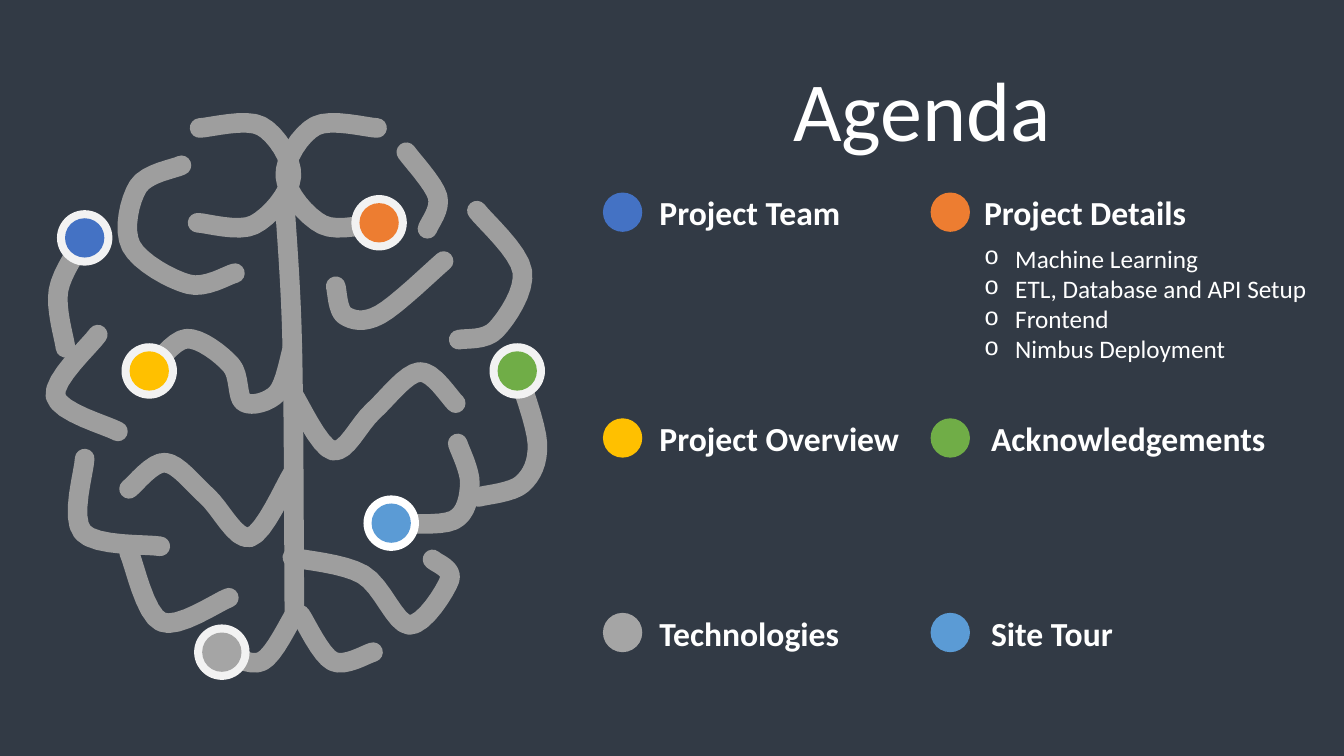
from dataclasses import dataclass
from lxml import etree
from pptx import Presentation
from pptx.dml.color import RGBColor
from pptx.enum.shapes import MSO_SHAPE
from pptx.enum.text import MSO_ANCHOR, MSO_AUTO_SIZE, PP_ALIGN
from pptx.oxml.ns import qn
from pptx.util import Inches, Pt

OVAL = MSO_SHAPE.OVAL
TOP, MIDDLE, BOTTOM = MSO_ANCHOR.TOP, MSO_ANCHOR.MIDDLE, MSO_ANCHOR.BOTTOM
FIXED, GROW = MSO_AUTO_SIZE.NONE, MSO_AUTO_SIZE.SHAPE_TO_FIT_TEXT
CENTER = PP_ALIGN.CENTER


@dataclass(frozen=True)
class Theme:
    font: str = "Calibri"
    back: str = "323A45"
    text: str = "FFFFFF"
    brain: str = "9E9E9E"
    ring: str = "F2F2F2"
    title: int = 60
    head: int = 24
    body: int = 18
    stroke: int = 14


THEME = Theme()

# Content, row by row: label, colour, ring colour, fold that starts at the marker
TITLE = "Agenda"
TOPICS = [
    ("Project Team", "4472C4", THEME.ring,
     [(0.84, 2.36), (0.58, 2.88), (0.65, 3.45)]),
    ("Project Details", "ED7D31", THEME.ring,
     [(3.76, 2.21), (3.2, 2.23), (2.83, 1.75), (3.13, 1.25), (3.74, 1.27)]),
    ("Project Overview", "FFC000", THEME.ring,
     [(1.48, 3.68), (1.85, 3.36), (2.29, 3.62), (2.42, 3.99), (2.75, 3.9),
      (2.9, 3.46)]),
    ("Acknowledgements", "70AD47", THEME.ring,
     [(5.13, 3.68), (5.33, 4.4), (5.18, 4.8), (4.75, 4.93)]),
    ("Technologies", "A5A5A5", THEME.ring,
     [(2.2, 6.47), (2.6, 6.56), (2.92, 6.1)]),
    ("Site Tour", "5B9BD5", THEME.text,
     [(3.88, 5.19), (4.5, 5.16), (4.66, 4.8), (4.54, 4.4)]),
]
DETAILS = ["Machine Learning", "ETL, Database and API Setup", "Frontend",
           "Nimbus Deployment"]

# Other folds of the brain
STEM = [(2.83, 2.1), (2.9, 3.46), (2.92, 6.1)]
LEFT = [
    [(1.8, 1.64), (1.37, 1.85), (1.3, 2.44), (1.87, 2.82), (2.33, 2.71)],
    [(0.97, 3.32), (0.55, 3.93), (1.17, 4.28)],
    [(2.9, 4.7), (2.48, 5.33), (2.05, 4.92), (1.64, 4.59), (1.28, 4.85)],
    [(0.84, 4.55), (0.82, 5.28), (1.59, 5.42)],
    [(1.28, 5.48), (1.6, 6.17), (2.27, 5.93)],
]
RIGHT = [
    [(4.03, 1.51), (4.34, 1.95), (4.24, 2.27)],
    [(4.73, 2.09), (5.18, 2.69), (4.92, 3.27), (4.55, 3.37)],
    [(4.4, 2.59), (3.77, 3.12), (3.42, 3.13), (3.33, 2.84)],
    [(2.9, 3.9), (3.3, 4.47), (3.7, 4.08), (4.16, 3.69), (4.52, 4)],
    [(2.9, 5.53), (3.6, 5.7), (4.06, 6.2), (4.46, 5.75), (4.29, 5.55)],
]

# Grid
WIDE, HIGH = 13.33, 7.5
COLS, ROWS = (5.98, 9.23), (1.91, 4.15, 6.08)
LABELS, SPANS = (6.54, 9.83), (2.42, 3.2)
DOT, RING = 0.39, 0.55
LABEL_H, INDENT = 0.5, 0.31
DETAIL_X = 9.76
STEPS = 8

deck = Presentation()
deck.slide_width, deck.slide_height = Inches(WIDE), Inches(HIGH)
slide = deck.slides.add_slide(deck.slide_layouts[6])
slide.background.fill.solid()
slide.background.fill.fore_color.rgb = RGBColor.from_string(THEME.back)


def mirror(fold, axis):
    return [(2 * axis - x, y) for x, y in fold]


def smooth(knots):
    """Points of a Catmull-Rom curve through the knots."""
    ends = [knots[0], *knots, knots[-1]]
    curve = [knots[0]]
    for a, b, c, d in zip(ends, ends[1:], ends[2:], ends[3:]):
        for step in range(1, STEPS + 1):
            t = step / STEPS
            curve.append([
                q + t * (r - p + t * (2 * p - 5 * q + 4 * r - s
                                      + t * (3 * (q - r) + s - p))) / 2
                for p, q, r, s in zip(a, b, c, d)])
    return [(Inches(x), Inches(y)) for x, y in curve]


def add_brain():
    marked = [fold for *_, fold in TOPICS]
    twins = [mirror(marked[1], 2.86), mirror(marked[4], 2.95)]
    curves = [smooth(fold) for fold in [STEM, *LEFT, *RIGHT, *marked, *twins]]
    pen = slide.shapes.build_freeform(*curves[0][0])
    for curve in curves:
        pen.move_to(*curve[0])
        pen.add_line_segments(curve[1:], close=False)
    brain = pen.convert_to_shape()
    brain.shadow.inherit = False
    brain.fill.background()
    brain.line.color.rgb = RGBColor.from_string(THEME.brain)
    brain.line.width = Pt(THEME.stroke)
    line = brain.element.spPr.find(qn("a:ln"))
    line.set("cap", "rnd")
    etree.SubElement(line, qn("a:round"))


def add_dot(mid, size, color):
    left, top = (Inches(pos - size / 2) for pos in mid)
    dot = slide.shapes.add_shape(OVAL, left, top, Inches(size), Inches(size))
    dot.shadow.inherit = False
    dot.fill.solid()
    dot.fill.fore_color.rgb = RGBColor.from_string(color)
    dot.line.fill.background()


def add_text(box, text, size, anchor, bold=False):
    frame = slide.shapes.add_textbox(*map(Inches, box)).text_frame
    frame.word_wrap = True
    frame.auto_size = GROW
    frame.vertical_anchor = anchor
    frame.margin_left = frame.margin_right = 0
    frame.text = text
    for para in frame.paragraphs:
        for run in para.runs:
            run.font.name = THEME.font
            run.font.size = Pt(size)
            run.font.bold = bold
            run.font.color.rgb = RGBColor.from_string(THEME.text)
    return frame


def add_bullet(para):
    props = para._p.get_or_add_pPr()
    props.set("marL", str(Inches(INDENT)))
    props.set("indent", str(-Inches(INDENT)))
    etree.SubElement(props, qn("a:buFont")).set("typeface", "Courier New")
    etree.SubElement(props, qn("a:buChar")).set("char", "o")


# Brain with its markers
add_brain()
for _, color, ring, fold in TOPICS:
    add_dot(fold[0], RING, ring)
    add_dot(fold[0], DOT, color)

# Title
title = add_text((5.88, 0.68, 6.53, 0.91), TITLE, THEME.title, MIDDLE)
title.auto_size = FIXED
title.paragraphs[0].alignment = CENTER
title.paragraphs[0].line_spacing = 0.9

# Agenda grid
for place, (label, color, *_) in enumerate(TOPICS):
    row, col = divmod(place, len(COLS))
    mid = (COLS[col] + DOT / 2, ROWS[row] + DOT / 2)
    add_dot(mid, DOT, color)
    left = DETAIL_X if place == 1 else LABELS[col]
    add_text((left, mid[1] - LABEL_H / 2, SPANS[col], LABEL_H),
             label, THEME.head, BOTTOM, bold=True)

# Project details
details = add_text((DETAIL_X, 2.36, SPANS[1], 1.62), "\n".join(DETAILS),
                   THEME.body, TOP)
for para in details.paragraphs:
    add_bullet(para)

deck.save("out.pptx")
